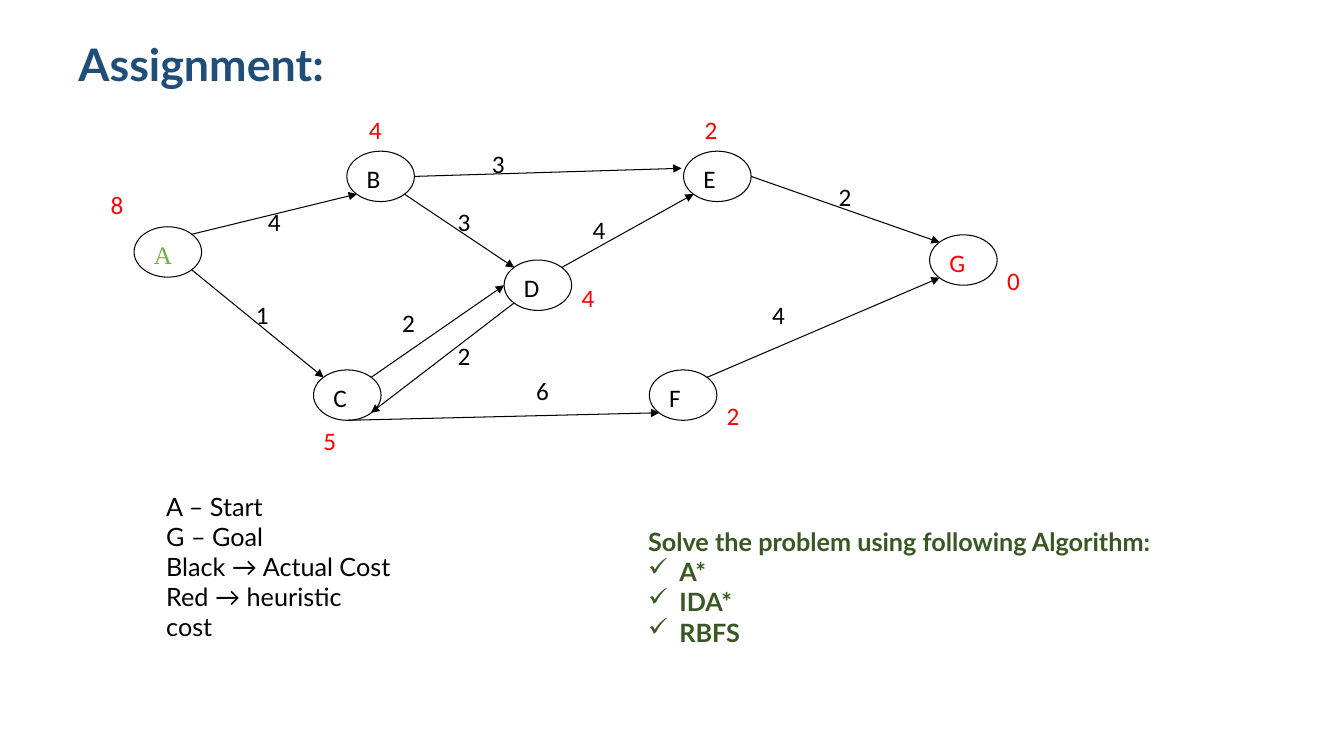
from lxml import etree
from pptx import Presentation
from pptx import util as u
from pptx.dml.color import RGBColor
from pptx.enum import shapes, text
from pptx.oxml.ns import qn

BLACK = RGBColor(0, 0, 0)
WHITE = RGBColor(255, 255, 255)
RED = RGBColor(255, 0, 0)
NAVY = RGBColor(0x1F, 0x4E, 0x79)
LEAF = RGBColor(0x70, 0xAD, 0x47)
GREEN = RGBColor(0x38, 0x57, 0x23)

TITLE = "Assignment:"
# name: (left, top), colour, font, heuristic cost, (left, top) of that cost
NODES = {
    "A": ((133, 225), LEAF, "Times New Roman", "8", (100, 183)),
    "B": ((344, 150), BLACK, "Calibri", "4", (356, 108)),
    "C": ((311, 367), BLACK, "Calibri", "5", (311, 417)),
    "D": ((500, 258), BLACK, "Calibri", "4", (567, 275)),
    "E": ((678, 150), BLACK, "Calibri", "2", (689, 108)),
    "F": ((644, 367), BLACK, "Calibri", "2", (711, 392)),
    "G": ((922, 233), RED, "Calibri", "0", (989, 258)),
}
# from node, site, to node, site, actual cost, (left, top) of that cost
EDGES = [
    ("A", "ne", "B", "sw", "4", (256, 200)),
    ("A", "se", "C", "nw", "1", (244, 292)),
    ("B", "e", "E", "wnw", "3", (478, 142)),
    ("B", "se", "D", "nw", "3", (444, 200)),
    ("C", "ne", "D", "w", "2", (389, 300)),
    ("D", "sw", "C", "se", "2", (444, 333)),
    ("E", "e", "G", "nw", "2", (822, 175)),
    ("C", "s", "F", "sw", "6", (522, 367)),
    ("F", "ne", "G", "sw", "4", (756, 292)),
    ("D", "ne", "E", "sw", "4", (578, 208)),
]
LEGEND = ["A – Start", "G – Goal", "Black → Actual Cost", "Red → heuristic cost"]
TASK = "Solve the problem using following Algorithm:"
METHODS = ["A*", "IDA*", "RBFS"]

# Points on an oval as shares of its width and height
SITES = {
    "e": (1, 0.5), "w": (0, 0.5), "s": (0.5, 1),
    "ne": (0.85, 0.15), "nw": (0.15, 0.15),
    "se": (0.85, 0.85), "sw": (0.15, 0.85),
    "wnw": (-0.03, 0.34),
}
OVAL = (67, 50)
LABEL = (44, 42)


def px(n):
    """Turn px, 100 to the inch, into EMU."""
    return u.Emu(round(n * 9144))


deck = Presentation()
deck.slide_width, deck.slide_height = px(1333), px(750)
slide = deck.slides.add_slide(deck.slide_layouts[6])


def fill(frame, lines, font="Calibri", size=18, color=BLACK, bold=False,
         anchor=text.MSO_ANCHOR.TOP, space=None, ticks=()):
    """Write lines into a frame; those whose index is in ticks get a check mark."""
    frame.word_wrap = True
    frame.vertical_anchor = anchor
    for i, line in enumerate(lines):
        par = frame.paragraphs[0] if i == 0 else frame.add_paragraph()
        par.alignment = text.PP_ALIGN.LEFT
        if space:
            par.line_spacing = space
        if i in ticks:
            props = par._p.get_or_add_pPr()
            props.set("marL", str(px(31)))
            props.set("indent", str(-px(31)))
            etree.SubElement(props, qn("a:buChar")).set("char", "✓")
        run = par.add_run()
        run.text = line
        run.font.name, run.font.size = font, u.Pt(size)
        run.font.bold, run.font.color.rgb = bold, color


def write(spot, size_px, lines, grow=True, **style):
    box = slide.shapes.add_textbox(*map(px, (*spot, *size_px)))
    fill(box.text_frame, lines, **style)
    if grow:
        box.text_frame.auto_size = text.MSO_AUTO_SIZE.SHAPE_TO_FIT_TEXT


def site(node, name):
    return [px(a + b * c) for a, b, c in zip(NODES[node][0], OVAL, SITES[name])]


def arrow(start, end):
    line = slide.shapes.add_connector(shapes.MSO_CONNECTOR.STRAIGHT, *start, *end)
    line.line.color.rgb = BLACK
    line.line.width = u.Pt(0.75)
    etree.SubElement(line.line._get_or_add_ln(), qn("a:tailEnd")).set("type", "triangle")
    etree.SubElement(line._element.spPr, qn("a:effectLst"))


write((68, 25), (352, 83), [TITLE], grow=False, font="Lato", size=32, color=NAVY,
      bold=True, anchor=text.MSO_ANCHOR.MIDDLE, space=0.9)

for name, (spot, color, font, _, _) in NODES.items():
    oval = slide.shapes.add_shape(shapes.MSO_SHAPE.OVAL, *map(px, (*spot, *OVAL)))
    oval.shadow.inherit = False
    oval.fill.solid()
    oval.fill.fore_color.rgb = WHITE
    oval.line.color.rgb = BLACK
    oval.line.width = u.Pt(0.75)
    fill(oval.text_frame, [name], font=font, color=color)

for head, out, goal, into, cost, spot in EDGES:
    arrow(site(head, out), site(goal, into))
    write(spot, LABEL, [cost])

for _, _, _, cost, spot in NODES.values():
    write(spot, LABEL, [cost], color=RED)

write((155, 482), (245, 162), LEGEND, font="Lato")
write((633, 517), (527, 131), [TASK, *METHODS], font="Lato", color=GREEN,
      bold=True, ticks=(1, 2, 3))

deck.save("out.pptx")
